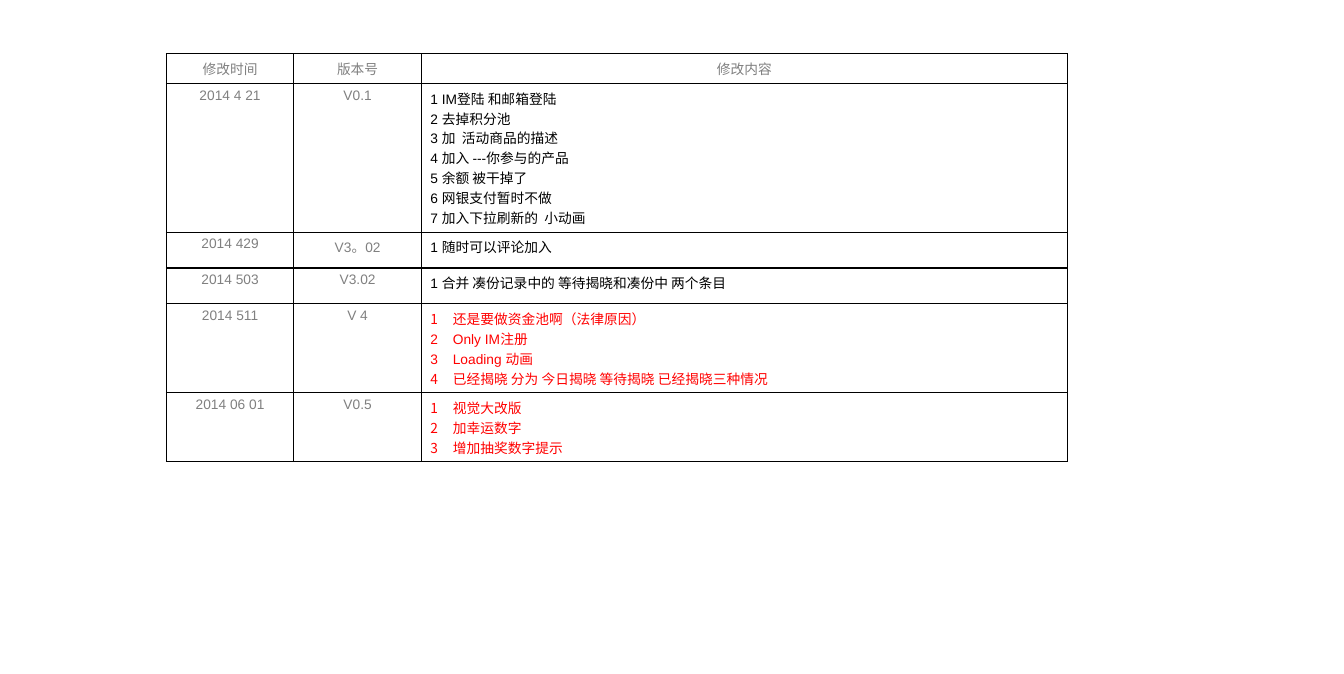
from dataclasses import dataclass

from lxml.etree import SubElement
from pptx import Presentation
from pptx.dml.color import RGBColor as Color
from pptx.enum.text import PP_ALIGN as Align
from pptx.oxml import parse_xml
from pptx.oxml.ns import nsdecls, qn
from pptx.util import Pt


@dataclass(frozen=True)
class Theme:
    """Colours, type and line sizes of the deck."""
    font: str = "Arial"
    size: float = 11
    label: str = "808080"
    body: str = "000000"
    accent: str = "FF0000"
    border: str = "000000"
    border_width: float = 1
    line_height: float = 15.9


@dataclass(frozen=True)
class Revision:
    """One row of the revision history."""
    date: str
    version: str
    changes: tuple
    numbered: bool = False


THEME = Theme()
HEADINGS = ("修改时间", "版本号", "修改内容")
COLUMN_WIDTHS = (102.2, 102.2, 517.6)
HEADER_HEIGHT = 24
MIN_HEIGHT = 28.8
CELL_PADDING = 7.2
NUMBER_INDENT = 18
REVISIONS = (
    Revision("2014 4 21", "V0.1", (
        "1 IM登陆 和邮箱登陆",
        "2 去掉积分池",
        "3 加  活动商品的描述",
        "4 加入 ---你参与的产品",
        "5 余额 被干掉了",
        "6 网银支付暂时不做",
        "7 加入下拉刷新的  小动画",
    )),
    Revision("2014 429", "V3。02", ("1 随时可以评论加入",)),
    Revision("2014 503", "V3.02", ("1 合并 凑份记录中的 等待揭晓和凑份中 两个条目",)),
    Revision("2014 511", "V 4", (
        "还是要做资金池啊（法律原因）",
        "Only IM注册",
        "Loading 动画",
        "已经揭晓 分为 今日揭晓 等待揭晓 已经揭晓三种情况",
    ), numbered=True),
    Revision("2014 06 01", "V0.5", (
        "视觉大改版",
        "加幸运数字",
        "增加抽奖数字提示",
    ), numbered=True),
)


def outline_cell(cell):
    """Clear the fill of a cell and draw its four borders."""
    cell.fill.background()
    properties = cell._tc.get_or_add_tcPr()
    for index, side in enumerate("LRTB"):
        properties.insert(index, parse_xml(
            f'<a:ln{side} {nsdecls("a")} w="{Pt(THEME.border_width)}">'
            f'<a:solidFill><a:srgbClr val="{THEME.border}"/></a:solidFill>'
            f'</a:ln{side}>'))


def number_para(para):
    """Give a paragraph an automatic number and a hanging indent."""
    properties = para._p.get_or_add_pPr()
    properties.set("marL", str(Pt(NUMBER_INDENT)))
    properties.set("indent", str(-Pt(NUMBER_INDENT)))
    SubElement(properties, qn("a:buFont"), typeface="+mj-lt")
    SubElement(properties, qn("a:buAutoNum"), type="arabicPlain")


def fill_cell(cell, lines, color, align=Align.LEFT, numbered=False):
    """Write lines into a cell, one paragraph each."""
    outline_cell(cell)
    frame = cell.text_frame
    for index, line in enumerate(lines):
        para = frame.add_paragraph() if index else frame.paragraphs[0]
        para.alignment = align
        if numbered:
            number_para(para)
        span = para.add_run()
        span.text = line
        span.font.name = THEME.font
        span.font.size = Pt(THEME.size)
        span.font.color.rgb = Color.from_string(color)


def row_height(revision):
    """Return the height that holds every change of a revision."""
    return max(MIN_HEIGHT, CELL_PADDING + THEME.line_height * len(revision.changes))


def add_history(page, left, top):
    """Place the revision history table with its corner at left, top."""
    heights = [HEADER_HEIGHT, *map(row_height, REVISIONS)]
    box = (left, top, sum(COLUMN_WIDTHS), sum(heights))
    table = page.shapes.add_table(
        len(heights), len(COLUMN_WIDTHS), *map(Pt, box)).table
    table.first_row = table.horz_banding = False
    for column, width in zip(table.columns, COLUMN_WIDTHS):
        column.width = Pt(width)
    for row, height in zip(table.rows, heights):
        row.height = Pt(height)
    for index, heading in enumerate(HEADINGS):
        fill_cell(table.cell(0, index), [heading], THEME.label, Align.CENTER)
    for index, revision in enumerate(REVISIONS, start=1):
        for column, label in enumerate((revision.date, revision.version)):
            fill_cell(table.cell(index, column), [label], THEME.label, Align.CENTER)
        color = THEME.accent if revision.numbered else THEME.body
        fill_cell(table.cell(index, 2), revision.changes, color,
                  numbered=revision.numbered)


def build_deck():
    """Build the one-page deck and save it."""
    deck = Presentation()
    deck.slide_width, deck.slide_height = Pt(1077), Pt(540)
    page = deck.slides.add_slide(deck.slide_layouts[6])
    add_history(page, left=133.3, top=43)
    deck.save("out.pptx")


build_deck()
